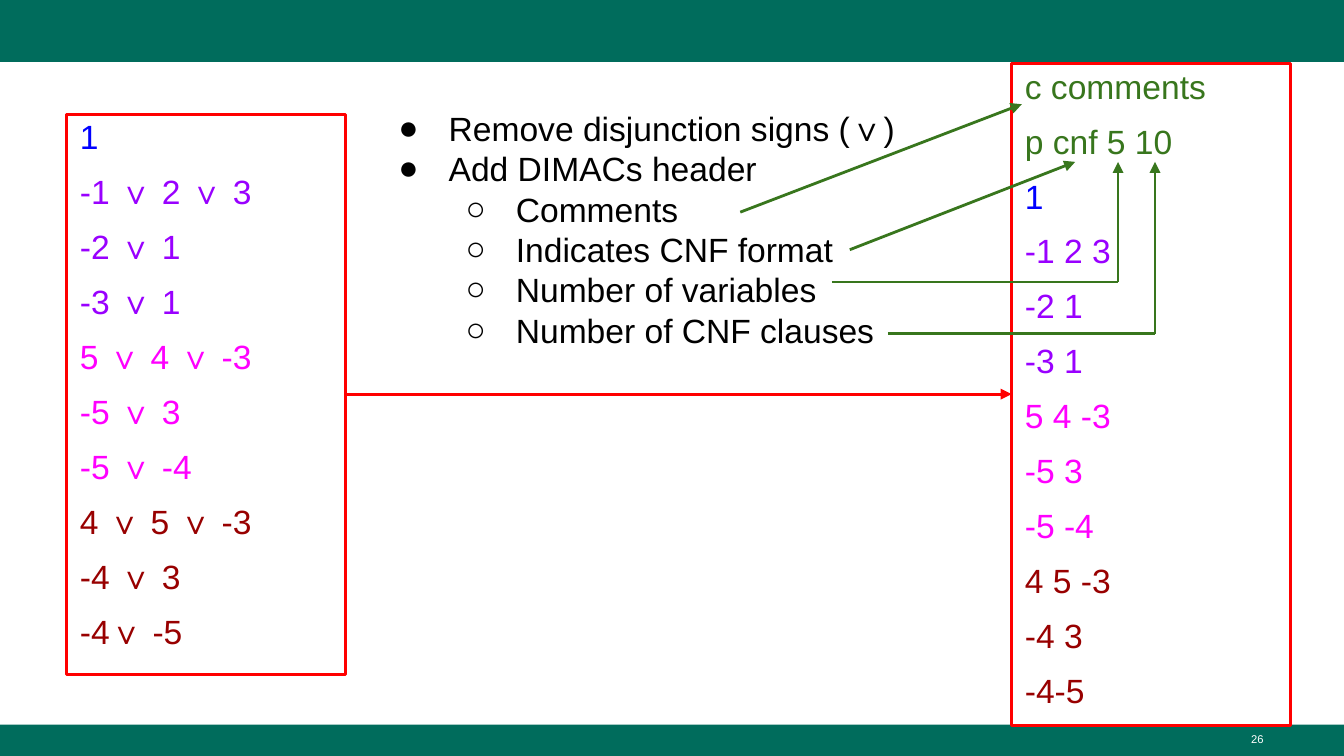
"""Build a slide that turns CNF clauses into the DIMACS format."""
from pptx import Presentation
from pptx.dml.color import RGBColor
from pptx.enum.shapes import MSO_CONNECTOR, MSO_SHAPE
from pptx.enum.text import MSO_ANCHOR, PP_ALIGN
from pptx.oxml.ns import qn
from pptx.util import Cm, Pt
from lxml.etree import SubElement

TEAL = RGBColor(0x00, 0x6C, 0x5C)
RED = RGBColor(0xFF, 0x00, 0x00)
GREEN = RGBColor(0x38, 0x76, 0x1D)
BLUE = RGBColor(0x00, 0x00, 0xFF)
VIOLET = RGBColor(0x99, 0x00, 0xFF)
PINK = RGBColor(0xFF, 0x00, 0xFF)
MAROON = RGBColor(0x98, 0x00, 0x00)
BLACK = RGBColor(0x00, 0x00, 0x00)
WHITE = RGBColor(0xFF, 0xFF, 0xFF)


def set_font(par, size, color):
    par.font.name = "Arial"
    par.font.size = Pt(size)
    par.font.color.rgb = color


def add_rect(left, top, width, height):
    rect = shapes.add_shape(MSO_SHAPE.RECTANGLE, Cm(left), Cm(top), Cm(width), Cm(height))
    rect.shadow.inherit = False
    return rect


deck = Presentation()
deck.slide_width, deck.slide_height = Cm(25.4), Cm(14.29)
slide = deck.slides.add_slide(deck.slide_layouts[6])
shapes = slide.shapes

for top, height in [(0, 1.17), (13.7, 0.59)]:
    bar = add_rect(0, top, 25.4, height)
    bar.fill.solid()
    bar.fill.fore_color.rgb = TEAL
    bar.line.fill.background()

number = shapes.add_textbox(Cm(18.21), Cm(13.68), Cm(5.92), Cm(0.58))
number.text_frame.word_wrap = True
number.text_frame.vertical_anchor = MSO_ANCHOR.MIDDLE
par = number.text_frame.paragraphs[0]
par.text = "26"
par.alignment = PP_ALIGN.RIGHT
set_font(par, 6, WHITE)

clauses = [
    ("1", BLUE),
    ("-1 ∨ 2 ∨ 3", VIOLET),
    ("-2 ∨ 1", VIOLET),
    ("-3 ∨ 1", VIOLET),
    ("5 ∨ 4 ∨ -3", PINK),
    ("-5 ∨ 3", PINK),
    ("-5 ∨ -4", PINK),
    ("4 ∨ 5 ∨ -3", MAROON),
    ("-4 ∨ 3", MAROON),
    ("-4∨ -5", MAROON),
]
header = [("c comments", GREEN), ("p cnf 5 10", GREEN)]
dimacs = header + [(text.replace("∨ ", ""), color) for text, color in clauses]

for left, top, height, lines in [(1.26, 2.16, 10.59, clauses), (19.12, 1.2, 12.52, dimacs)]:
    box = add_rect(left, top, 5.27, height)
    box.fill.background()
    box.line.color.rgb = RED
    box.line.width = Pt(1.5)
    frame = box.text_frame
    frame.word_wrap = True
    frame.vertical_anchor = MSO_ANCHOR.TOP
    for i, (text, color) in enumerate(lines):
        par = frame.add_paragraph() if i else frame.paragraphs[0]
        par.text = text
        par.alignment = PP_ALIGN.LEFT
        par.line_spacing = 0.9
        par.space_before = Pt(10 if i else 0)
        set_font(par, 18, color)

steps = [
    ("Remove disjunction signs (∨)", 0),
    ("Add DIMACs header", 0),
    ("Comments", 1),
    ("Indicates CNF format", 1),
    ("Number of variables", 1),
    ("Number of CNF clauses", 1),
]
notes = shapes.add_textbox(Cm(6.96), Cm(1.79), Cm(10.41), Cm(2.06))
frame = notes.text_frame
frame.word_wrap = True
frame.margin_top = frame.margin_bottom = Cm(0.25)
for i, (text, level) in enumerate(steps):
    par = frame.add_paragraph() if i else frame.paragraphs[0]
    par.text = text
    par.level = level
    props = par._p.get_or_add_pPr()
    props.set("marL", str(Cm(1.27 * (level + 1))))
    props.set("indent", str(Cm(-0.95)))
    tint = SubElement(props, qn("a:buClr"))
    SubElement(tint, qn("a:srgbClr")).set("val", str(BLACK))
    SubElement(props, qn("a:buFont")).set("typeface", "Arial")
    SubElement(props, qn("a:buChar")).set("char", "●○"[level])
    set_font(par, 18, BLACK)

routes = [
    (RED, [(6.53, 7.45), (19.12, 7.45)]),
    (GREEN, [(13.99, 4.01), (19.31, 1.97)]),
    (GREEN, [(16.06, 4.72), (20.32, 3.06)]),
    (GREEN, [(15.72, 5.33), (21.13, 5.33), (21.13, 3.06)]),
    (GREEN, [(16.78, 6.31), (21.83, 6.31), (21.83, 3.06)]),
]
for color, points in routes:
    for (x1, y1), (x2, y2) in zip(points, points[1:]):
        arrow = shapes.add_connector(MSO_CONNECTOR.STRAIGHT, Cm(x1), Cm(y1), Cm(x2), Cm(y2))
        arrow.line.color.rgb = color
        arrow.line.width = Pt(1.5)
        if (x2, y2) == points[-1]:
            SubElement(arrow.line._get_or_add_ln(), qn("a:tailEnd")).set("type", "triangle")
        SubElement(arrow._element.spPr, qn("a:effectLst"))

deck.save("out.pptx")
